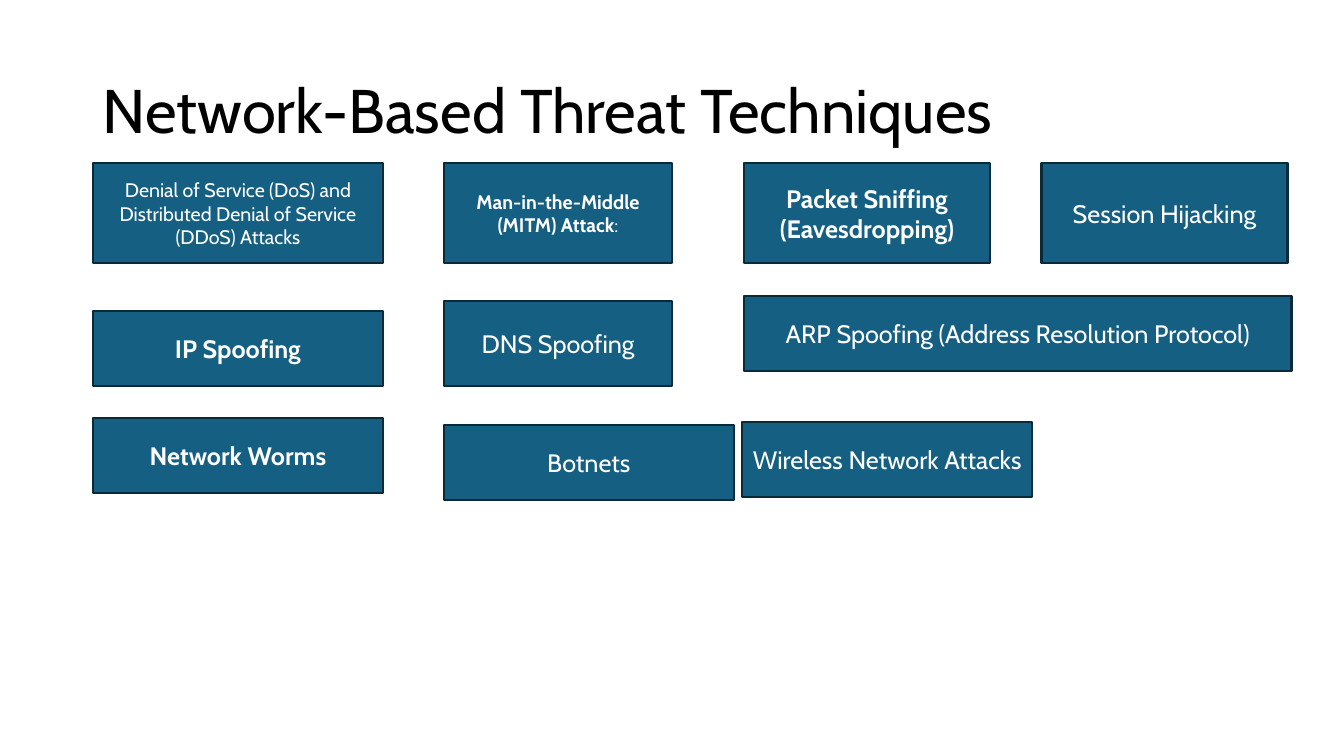
from dataclasses import dataclass

import pptx
import pptx.dml.color
import pptx.enum.shapes
import pptx.enum.text
import pptx.slide
import pptx.text.text
import pptx.util

Inches = pptx.util.Inches
Align = pptx.enum.text.PP_ALIGN


@dataclass(frozen=True)
class Theme:
    font: str = "Cabin"
    fill: str = "156082"
    edge: str = "092A39"
    light: str = "FFFFFF"
    dark: str = "000000"
    head: int = 44
    body: int = 18
    small: int = 14
    line: float = 1.5


@dataclass(frozen=True)
class Box:
    text: str
    left: float
    top: float
    width: float
    height: float
    size: int
    bold: bool = False
    tail: str = ""  # closing text in regular weight


THEME = Theme()

# Shared columns and sizes
COL_A, COL_B, COL_C, COL_D = 0.92, 4.4, 7.38, 10.33
WIDE, MID, SLIM = 2.88, 2.44, 2.27
TOP, TALL, LOW = 1.62, 0.99, 0.74

BOXES = [
    # First row
    Box("Denial of Service (DoS) and Distributed Denial of Service (DDoS) Attacks",
        COL_A, TOP, WIDE, TALL, THEME.small),
    Box("Man-in-the-Middle (MITM) Attack", COL_B, TOP, SLIM, TALL, THEME.small, True, ":"),
    Box("Packet Sniffing (Eavesdropping)", COL_C, TOP, MID, TALL, THEME.body, True),
    Box("Session Hijacking", COL_D, TOP, MID, TALL, THEME.body),
    # Second row
    Box("IP Spoofing", COL_A, 3.09, WIDE, LOW, THEME.body, True),
    Box("DNS Spoofing", COL_B, 2.99, SLIM, 0.84, THEME.body),
    Box("ARP Spoofing (Address Resolution Protocol)", COL_C, 2.94, 5.43, LOW, THEME.body),
    # Third row
    Box("Network Worms", COL_A, 4.15, WIDE, LOW, THEME.body, True),
    Box("Botnets", COL_B, 4.22, WIDE, LOW, THEME.body),
    Box("Wireless Network Attacks", 7.36, 4.19, WIDE, LOW, THEME.body),
]


def tint(code: str) -> pptx.dml.color.RGBColor:
    return pptx.dml.color.RGBColor.from_string(code)


def write(frame: pptx.text.text.TextFrame, text: str, *, size: int, color: str,
          bold: bool = False, align: Align = Align.CENTER,
          space: float = 1.0, tail: str = "") -> None:
    frame.word_wrap = True
    frame.auto_size = pptx.enum.text.MSO_AUTO_SIZE.NONE
    frame.vertical_anchor = pptx.enum.text.MSO_ANCHOR.MIDDLE
    para = frame.paragraphs[0]
    para.alignment = align
    para.line_spacing = space
    for part, heavy in ((text, bold), (tail, False)):
        if part:
            run = para.add_run()
            run.text = part
            run.font.name = THEME.font
            run.font.size = pptx.util.Pt(size)
            run.font.bold = heavy
            run.font.color.rgb = tint(color)


def draw(slide: pptx.slide.Slide, box: Box) -> None:
    shape = slide.shapes.add_shape(
        pptx.enum.shapes.MSO_SHAPE.RECTANGLE,
        Inches(box.left), Inches(box.top), Inches(box.width), Inches(box.height))
    shape.shadow.inherit = False
    shape.fill.solid()
    shape.fill.fore_color.rgb = tint(THEME.fill)
    shape.line.color.rgb = tint(THEME.edge)
    shape.line.width = pptx.util.Pt(THEME.line)
    write(shape.text_frame, box.text, size=box.size, color=THEME.light,
          bold=box.bold, tail=box.tail)


def main() -> None:
    deck = pptx.Presentation()
    deck.slide_width, deck.slide_height = Inches(13.33), Inches(7.5)
    slide = deck.slides.add_slide(deck.slide_layouts.get_by_name("Title Only"))

    # Title
    title = slide.shapes.title
    title.left, title.top = Inches(COL_A), Inches(0.4)
    title.width, title.height = Inches(11.5), Inches(1.45)
    write(title.text_frame, "Network-Based Threat Techniques", size=THEME.head,
          color=THEME.dark, align=Align.LEFT, space=0.9)

    # Technique boxes
    for box in BOXES:
        draw(slide, box)

    deck.save("out.pptx")


if __name__ == "__main__":
    main()
